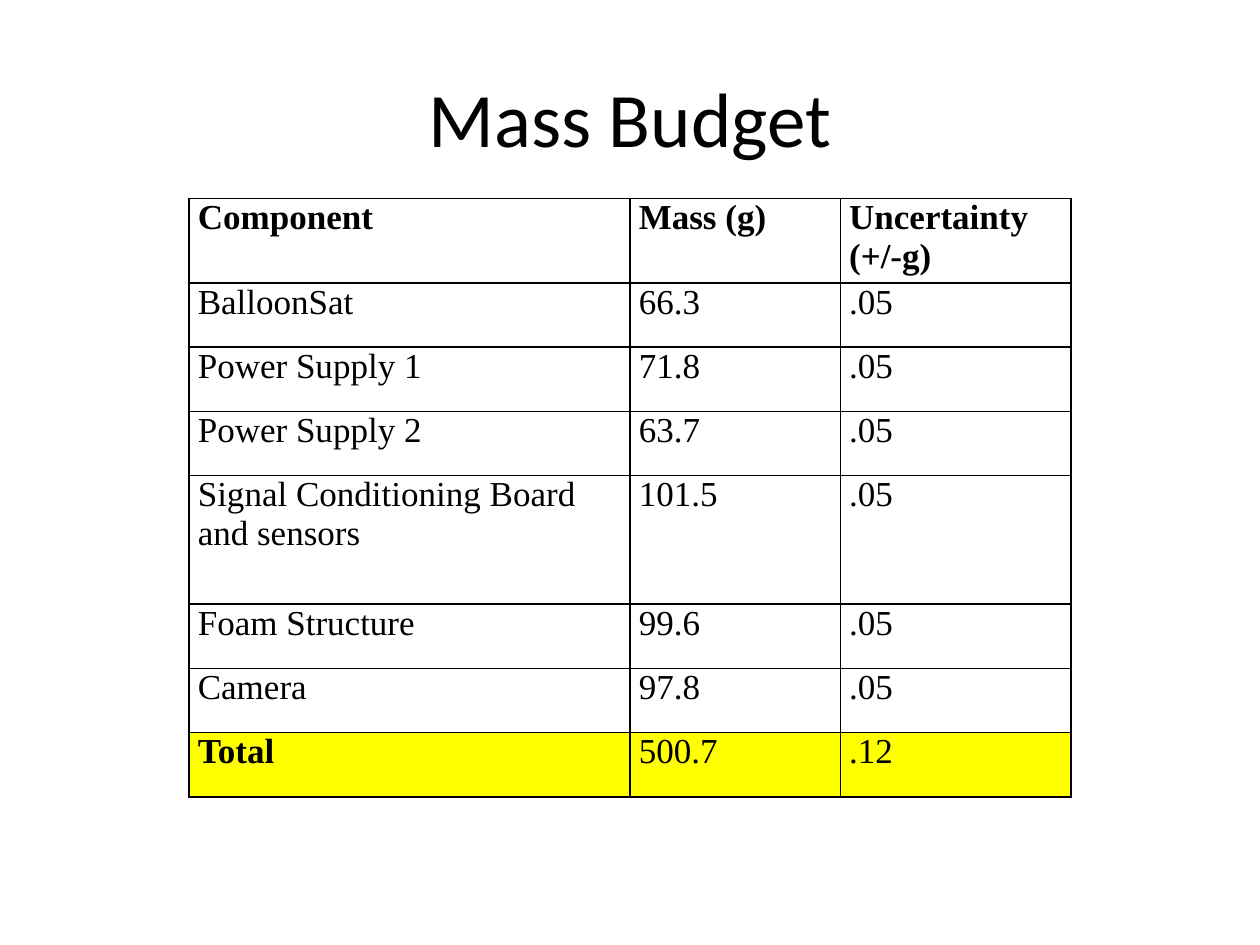
"""Build the mass budget slide with its component table."""
import dataclasses

import pptx
import pptx.dml.color
import pptx.enum.text
import pptx.oxml
import pptx.oxml.ns
import pptx.util

WIDE, HIGH = pptx.util.Inches(10), pptx.util.Inches(7.5)
UNIT = pptx.util.Inches(0.51)
HEAD = pptx.util.Inches(0.67)
COLS = (0.35, 0.167, 0.183)
INK, GOLD = "000000", "FFFF00"


@dataclasses.dataclass
class Row:
    name: str
    mass: str
    error: str
    size: int = UNIT
    bold: tuple = (False, False, False)
    fill: str = ""


ROWS = (
    Row("Component", "Mass (g)", "Uncertainty (+/-g)", HEAD, (True, True, True)),
    Row("BalloonSat", "66.3", ".05"),
    Row("Power Supply 1", "71.8", ".05"),
    Row("Power Supply 2", "63.7", ".05"),
    Row("Signal Conditioning Board and sensors", "101.5", ".05", 2 * UNIT),
    Row("Foam Structure", "99.6", ".05"),
    Row("Camera", "97.8", ".05"),
    Row("Total", "500.7", ".12", bold=(True, False, False), fill=GOLD),
)


def color(code: str) -> pptx.dml.color.RGBColor:
    return pptx.dml.color.RGBColor.from_string(code)


def style(frame, face: str, size: int, bold: bool = False) -> None:
    for part in frame.paragraphs:
        for run in part.runs:
            run.font.name = face
            run.font.size = pptx.util.Pt(size)
            run.font.bold = bold
            run.font.color.rgb = color(INK)


def border(cell) -> None:
    space = pptx.oxml.ns.nsdecls("a")
    props = cell._tc.get_or_add_tcPr()
    for side in ("lnL", "lnR", "lnT", "lnB"):
        props.append(pptx.oxml.parse_xml(
            f'<a:{side} {space} w="{pptx.util.Pt(1)}"><a:solidFill>'
            f'<a:srgbClr val="{INK}"/></a:solidFill></a:{side}>'))


def draw_cell(cell, text: str, bold: bool, fill: str) -> None:
    cell.margin_left = cell.margin_right = pptx.util.Inches(0.07)
    cell.margin_top = cell.margin_bottom = 0
    cell.text_frame.text = text
    style(cell.text_frame, "Times New Roman", 20, bold)
    border(cell)
    if fill:
        cell.fill.solid()
        cell.fill.fore_color.rgb = color(fill)
    else:
        cell.fill.background()


def draw_title(slide) -> None:
    title = slide.shapes.title
    title.left, title.top = int(WIDE * 0.05), int(HIGH * 0.04)
    title.width, title.height = int(WIDE * 0.9), pptx.util.Inches(1.25)
    frame = title.text_frame
    frame.text = "Mass Budget"
    frame.vertical_anchor = pptx.enum.text.MSO_ANCHOR.MIDDLE
    frame.paragraphs[0].alignment = pptx.enum.text.PP_ALIGN.CENTER
    style(frame, "Calibri", 44)


def draw_table(slide) -> None:
    table = slide.shapes.add_table(
        len(ROWS), len(COLS), int(WIDE * 0.15), int(HIGH * 0.21),
        int(WIDE * sum(COLS)), sum(row.size for row in ROWS)).table
    table.first_row = table.horz_banding = False
    for col, share in zip(table.columns, COLS):
        col.width = int(WIDE * share)
    for line, row in zip(table.rows, ROWS):
        line.height = row.size
        texts = (row.name, row.mass, row.error)
        for cell, text, bold in zip(line.cells, texts, row.bold):
            draw_cell(cell, text, bold, row.fill)


def main() -> None:
    deck = pptx.Presentation()
    deck.slide_width, deck.slide_height = WIDE, HIGH
    slide = deck.slides.add_slide(deck.slide_layouts[5])
    draw_title(slide)
    draw_table(slide)
    deck.save("out.pptx")


if __name__ == "__main__":
    main()
